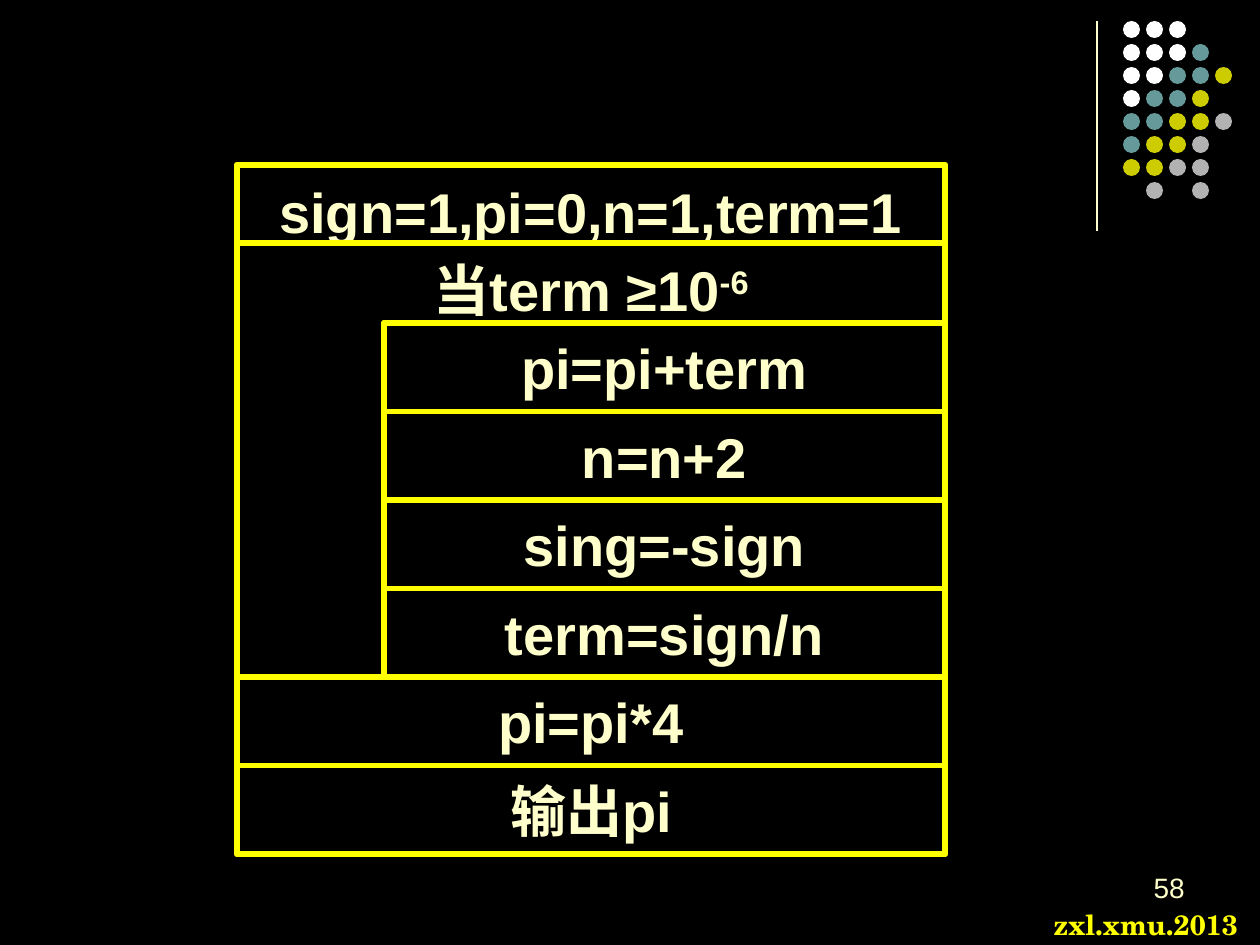
from pptx import Presentation
from pptx.dml.color import RGBColor
from pptx.enum.shapes import MSO_CONNECTOR, MSO_SHAPE as SHAPE
from pptx.enum.text import MSO_ANCHOR as ANCHOR, PP_ALIGN as ALIGN
from pptx.oxml.ns import qn
from pptx.util import Pt

PX = 914400 / 126
CREAM, YELLOW = "FFFFCC", "FFFF00"
DOT_COLOURS = {"W": "FFFFFF", "T": "669999", "O": "CCCC00", "G": "B2B2B2"}
DOT_ROWS = ["WWW", "WWWT", "WWTTO", "WTTO", "TTOOG", "TOOG", "OOGG", " G G"]


def px(value):
    return round(value * PX)


def colour(value):
    return RGBColor.from_string(value)


def write(shape, text, sup="", size=32, font="Arial", tint=CREAM, bold=True,
          align=ALIGN.CENTER, anchor=ANCHOR.MIDDLE, top=6):
    """Fill a shape with one line, optionally ending in a superscript."""
    frame = shape.text_frame
    frame.word_wrap = True
    frame.vertical_anchor = anchor
    frame.margin_top = px(top)
    para = frame.paragraphs[0]
    para.alignment = align
    for part, raised in ((text, False), (sup, True)):
        if not part:
            continue
        span = para.add_run()
        span.text = part
        span.font.size = Pt(size)
        span.font.name = font
        span.font.bold = bold
        span.font.color.rgb = colour(tint)
        if raised:
            span.font._element.set("baseline", "30000")


def add_frame(group, box, kind=SHAPE.FLOWCHART_PROCESS):
    """Unfilled yellow outline."""
    shape = group.shapes.add_shape(kind, *map(px, box))
    shape.shadow.inherit = False
    shape.fill.background()
    shape.line.color.rgb = colour(YELLOW)
    shape.line.width = Pt(3)
    return shape


def add_steps(group, box, steps):
    """Equal rows stacked to fill the box."""
    left, top, width, height = box
    row = height / len(steps)
    for index, step in enumerate(steps):
        write(add_frame(group, (left, top + index * row, width, row)), step)


def add_decoration(page, box):
    """Vertical rule with a grid of dots to its right."""
    left, top, _, height = box
    rule = page.shapes.add_connector(MSO_CONNECTOR.STRAIGHT, px(left), px(top),
                                     px(left), px(top + height))
    rule.line.color.rgb = colour(CREAM)
    rule.line.width = Pt(0.75)
    props = rule._element.spPr
    props.append(props.makeelement(qn("a:effectLst"), {}))

    dots = page.shapes.add_group_shape()
    size, pitch, indent = 17, 23, 26
    for row, marks in enumerate(DOT_ROWS):
        for column, mark in enumerate(marks):
            if mark == " ":
                continue
            dot = dots.shapes.add_shape(
                SHAPE.OVAL, px(left + indent + column * pitch),
                px(top + row * pitch), px(size), px(size))
            dot.shadow.inherit = False
            dot.fill.solid()
            dot.fill.fore_color.rgb = colour(DOT_COLOURS[mark])
            dot.line.fill.background()


def add_flow_diagram(page, box):
    """Structured chart: set-up, loop with its body, closing steps."""
    left, top, width, height = box
    head, loop, indent, label = 78, 434, 147, 80
    group = page.shapes.add_group_shape()
    add_frame(group, box)

    # Set-up row and loop condition
    setup = add_frame(group, (left, top, width, head), SHAPE.RECTANGLE)
    write(setup, "sign=1,pi=0,n=1,term=1", anchor=ANCHOR.TOP, top=13)
    condition = add_frame(group, (left, top + head, width, loop), SHAPE.RECTANGLE)
    write(condition, "当term ≥10", sup="-6", anchor=ANCHOR.TOP, top=12)

    # Loop body
    body = (left + indent, top + head + label, width - indent, loop - label)
    add_frame(group, body)
    add_steps(group, body, ["pi=pi+term", "n=n+2", "sing=-sign", "term=sign/n"])

    # Closing steps
    used = head + loop
    add_steps(group, (left, top + used, width, height - used),
              ["pi=pi*4", "输出pi"])


def add_footer(page, box):
    """Page number above the course mark."""
    left, top, width, height = box
    number = page.shapes.add_textbox(px(left), px(top), px(294), px(63))
    write(number, "58", size=16, bold=False, align=ALIGN.RIGHT,
          anchor=ANCHOR.TOP, top=10)
    mark_width, mark_height = 219, 47
    mark = page.shapes.add_textbox(
        px(left + width - mark_width), px(top + height - mark_height),
        px(mark_width), px(mark_height))
    write(mark, "zxl.xmu.2013", size=16, font="TeX Gyre Schola", tint=YELLOW,
          align=ALIGN.LEFT, anchor=ANCHOR.TOP)


def main():
    deck = Presentation()
    deck.slide_width, deck.slide_height = px(1260), px(945)
    page = deck.slides.add_slide(deck.slide_layouts[6])
    page.background.fill.solid()
    page.background.fill.fore_color.rgb = colour("000000")
    add_decoration(page, (1097, 21, 135, 210))
    add_footer(page, (903, 861, 357, 88))
    add_flow_diagram(page, (237, 165, 708, 689))
    deck.save("out.pptx")


if __name__ == "__main__":
    main()
